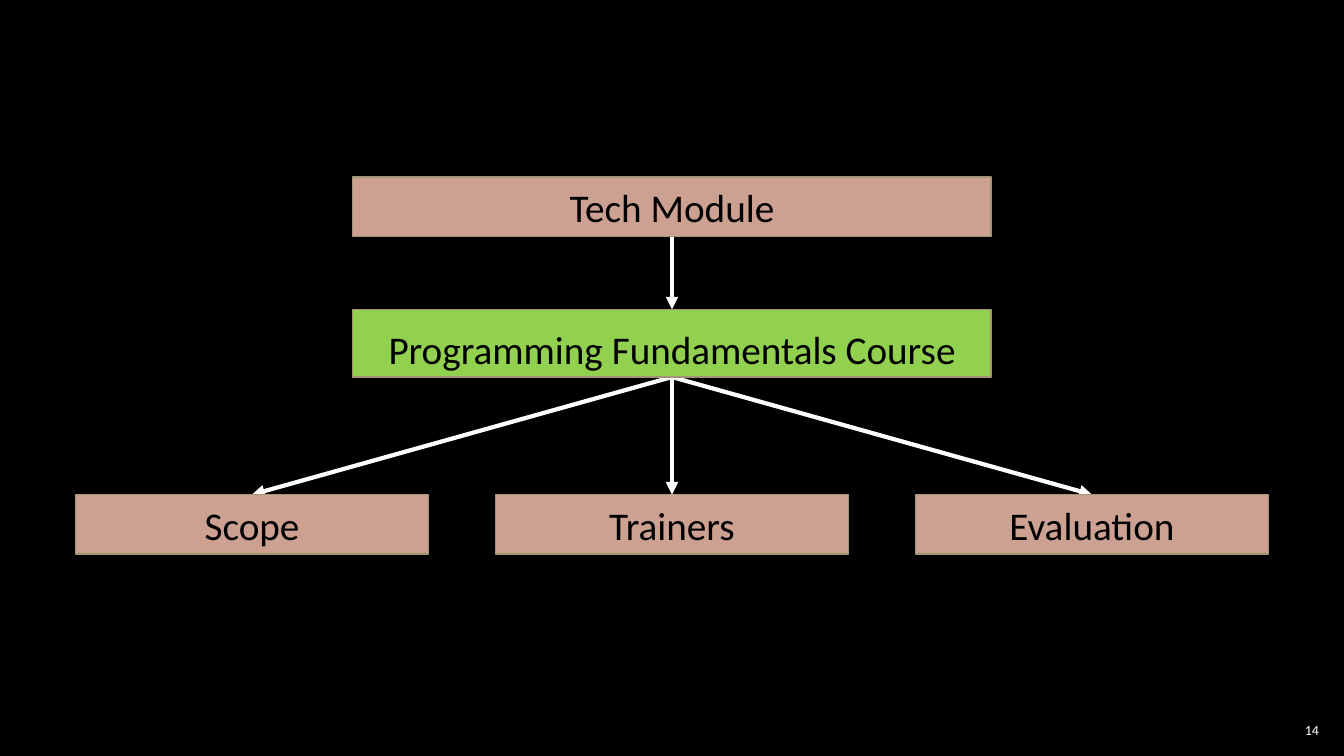
from dataclasses import dataclass

from lxml import etree
from pptx import Presentation
from pptx.dml.color import RGBColor
from pptx.enum.shapes import MSO_CONNECTOR, MSO_SHAPE
from pptx.enum.text import MSO_ANCHOR, PP_ALIGN
from pptx.oxml.ns import qn
from pptx.util import Pt


@dataclass(frozen=True)
class Theme:
    background: RGBColor = RGBColor(0x00, 0x00, 0x00)
    topic: RGBColor = RGBColor(0xCC, 0xA1, 0x92)
    course: RGBColor = RGBColor(0x92, 0xD0, 0x50)
    border: RGBColor = RGBColor(0xA1, 0x95, 0x74)
    dark: RGBColor = RGBColor(0x00, 0x00, 0x00)
    light: RGBColor = RGBColor(0xFF, 0xFF, 0xFF)
    font: str = "Calibri"
    box_size: int = 28
    number_size: int = 10


theme = Theme()
CENTER = 480
TOP, BOTTOM = 0, 2  # connection sites of a rectangle


def write(shape, text, size, color, align, anchor, margins):
    """Fill a shape with one paragraph; margins are left, top, right, bottom."""
    tf = shape.text_frame
    tf.word_wrap = True
    tf.vertical_anchor = anchor
    tf.margin_left, tf.margin_top, tf.margin_right, tf.margin_bottom = map(Pt, margins)
    p = tf.paragraphs[0]
    p.text = text
    p.alignment = align
    p.font.name = theme.font
    p.font.size = Pt(size)
    p.font.color.rgb = color


def add_box(s, text, center, top, width, height=42.5, fill=theme.topic,
            anchor=MSO_ANCHOR.MIDDLE, margins=(7.2, 0, 7.2, 0)):
    box = s.shapes.add_shape(MSO_SHAPE.RECTANGLE, Pt(center - width / 2), Pt(top),
                             Pt(width), Pt(height))
    box.shadow.inherit = False
    box.fill.solid()
    box.fill.fore_color.rgb = fill
    box.line.color.rgb = theme.border
    box.line.width = Pt(1)
    write(box, text, theme.box_size, theme.dark, PP_ALIGN.CENTER, anchor, margins)
    return box


prs = Presentation()
prs.slide_width, prs.slide_height = Pt(960), Pt(540)
s = prs.slides.add_slide(prs.slide_layouts[6])
s.background.fill.solid()
s.background.fill.fore_color.rgb = theme.background

# Arrows come first so that they lie behind the boxes
arrows = []
for _ in range(4):
    arrow = s.shapes.add_connector(MSO_CONNECTOR.STRAIGHT, 0, 0, 0, 0)
    arrow.line.color.rgb = theme.light
    arrow.line.width = Pt(3)
    etree.SubElement(arrow.line._get_or_add_ln(), qn("a:tailEnd"), type="triangle")
    etree.SubElement(arrow._element.spPr, qn("a:effectLst"))
    arrows.append(arrow)

# Boxes
module = add_box(s, "Tech Module", CENTER, 126.3, 456)
course = add_box(s, "Programming Fundamentals Course", CENTER, 221, 456, 48.3,
                 theme.course, MSO_ANCHOR.TOP, (7.2, 11.6, 7.2, 3.6))
topics = [add_box(s, text, CENTER + 300 * (i - 1), 353.3, 252)
          for i, text in enumerate(["Scope", "Trainers", "Evaluation"])]

# Glue the arrows to the boxes
links = [(module, course)] + [(course, topic) for topic in topics]
for arrow, (parent, child) in zip(arrows, links):
    arrow.begin_connect(parent, BOTTOM)
    arrow.end_connect(child, TOP)

# Slide number
number = s.shapes.add_textbox(Pt(911), Pt(514), Pt(34), Pt(15))
write(number, "14", theme.number_size, theme.light, PP_ALIGN.RIGHT,
      MSO_ANCHOR.MIDDLE, (2.9, 2.9, 2.9, 2.9))

prs.save("out.pptx")
